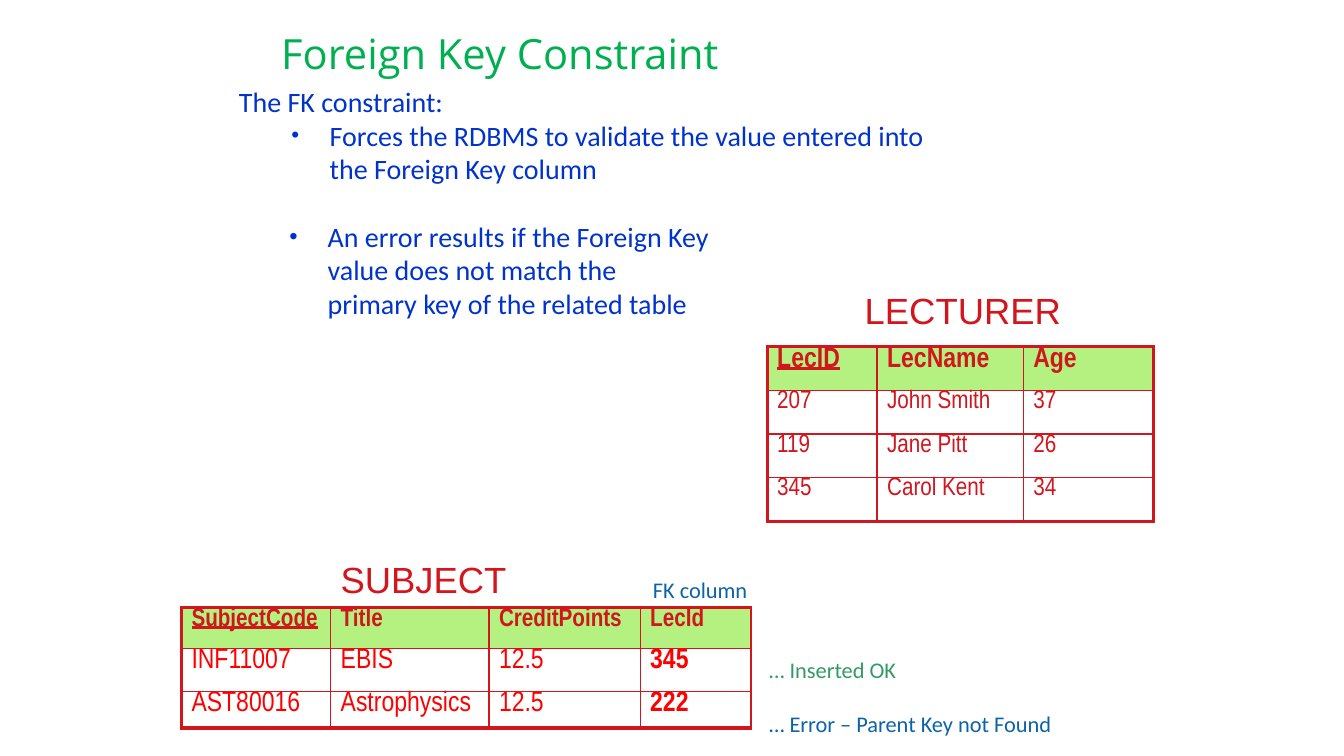
from lxml import etree
from pptx import Presentation
from pptx.dml.color import RGBColor
from pptx.enum.text import MSO_ANCHOR, PP_ALIGN
from pptx.oxml.ns import qn
from pptx.util import Inches, Pt

COLORS = {
    "title": "00B050",
    "body": "0033CC",
    "crimson": "D1161E",
    "entry": "FF0000",
    "header": "B4F180",
    "note": "0C64A7",
    "success": "339966",
}
TOP, MIDDLE = MSO_ANCHOR.TOP, MSO_ANCHOR.MIDDLE
LEFT, CENTER = PP_ALIGN.LEFT, PP_ALIGN.CENTER

# Grid of 100 columns by 100 rows
SLIDE_WIDTH, SLIDE_HEIGHT = Inches(13.33), Inches(7.5)
THIN, THICK = 1, 2.25


def columns(count):
    return round(SLIDE_WIDTH * count / 100)


def rows(count):
    return round(SLIDE_HEIGHT * count / 100)


def add_text(paragraph, text, *, size, font, color, bold=False,
             underline=False, align=LEFT, before=0, indent=0, hanging=0,
             bullet_size=None):
    """Fill a paragraph; newlines become line breaks."""
    properties = paragraph._p.get_or_add_pPr()
    properties.set("marL", str(Inches(indent)))
    properties.set("indent", str(Inches(-hanging)))
    if bullet_size:
        etree.SubElement(properties, qn("a:buSzPct"), val=str(bullet_size * 1000))
        etree.SubElement(properties, qn("a:buFont"), typeface="Arial")
        etree.SubElement(properties, qn("a:buChar"), char="•")
    paragraph.alignment = align
    if before:
        paragraph.space_before = Pt(before)
    for number, line in enumerate(text.split("\n")):
        if number:
            paragraph.add_line_break()
        run = paragraph.add_run()
        run.text = line
        run.font.size = Pt(size)
        run.font.name = font
        run.font.bold = bold
        run.font.underline = underline
        run.font.color.rgb = RGBColor.from_string(COLORS[color])


def add_box(slide, area, paragraphs, *, inset=True, wrap=True, anchor=TOP,
            **text_format):
    """Add a text box; paragraphs are (text, own format) pairs."""
    left, top, width, height = area
    shape = slide.shapes.add_textbox(columns(left), rows(top),
                                     columns(width), rows(height))
    frame = shape.text_frame
    frame.word_wrap = wrap
    frame.vertical_anchor = anchor
    if not inset:
        frame.margin_left = frame.margin_right = 0
        frame.margin_top = frame.margin_bottom = 0
    for number, (text, own_format) in enumerate(paragraphs):
        paragraph = frame.add_paragraph() if number else frame.paragraphs[0]
        add_text(paragraph, text, **{**text_format, **own_format})


def add_borders(cell, widths):
    """Draw the left, right, top and bottom borders of a cell."""
    properties = cell._tc.get_or_add_tcPr()
    for side, width in zip("LRTB", widths):
        line = etree.SubElement(properties, qn(f"a:ln{side}"), w=str(Pt(width)))
        fill = etree.SubElement(line, qn("a:solidFill"))
        etree.SubElement(fill, qn("a:srgbClr"), val=COLORS["crimson"])


def add_grid_table(slide, left, top, column_widths, row_heights, values, *,
                   header_size, entry_size, entry_color, bottom=THICK,
                   bold_column=None):
    """Add a table whose first header cell is the underlined primary key."""
    table = slide.shapes.add_table(
        len(row_heights), len(column_widths), columns(left), rows(top),
        columns(sum(column_widths)), rows(sum(row_heights))).table
    table.first_row = table.horz_banding = False
    for column, width in zip(table.columns, column_widths):
        column.width = columns(width)
    last_row, last_column = len(row_heights) - 1, len(column_widths) - 1
    for i, height in enumerate(row_heights):
        table.rows[i].height = rows(height)
        for j, text in enumerate(values[i]):
            cell = table.cell(i, j)
            is_header = i == 0
            cell.margin_top = cell.margin_bottom = 0
            add_borders(cell, (THICK if j == 0 else THIN,
                               THICK if j == last_column else THIN,
                               THICK if is_header else THIN,
                               bottom if i == last_row else THIN))
            if is_header:
                cell.fill.solid()
                cell.fill.fore_color.rgb = RGBColor.from_string(COLORS["header"])
            else:
                cell.fill.background()
            add_text(cell.text_frame.paragraphs[0], text, font="Arial Narrow",
                     size=header_size if is_header else entry_size,
                     color="crimson" if is_header else entry_color,
                     bold=is_header or j == bold_column,
                     underline=is_header and j == 0)


def main():
    presentation = Presentation()
    presentation.slide_width, presentation.slide_height = SLIDE_WIDTH, SLIDE_HEIGHT
    slide = presentation.slides.add_slide(presentation.slide_layouts[6])

    # Title and explanation
    add_box(slide, (20.18, 2.8, 67.35, 8.4), [("Foreign Key Constraint", {})],
            anchor=MIDDLE, size=29.7, font="Open Sans", color="title")
    add_box(slide, (17.78, 11.2, 68.25, 79.47), [
        ("The FK constraint:", {}),
        ("Forces the RDBMS to validate the value entered into \n"
         "the Foreign Key column",
         {"indent": 0.9, "hanging": 0.38, "bullet_size": 80}),
        ("An error results if the Foreign Key \nvalue does not match the \n"
         "primary key of the related table",
         {"indent": 0.88, "hanging": 0.38, "bullet_size": 85, "before": 24}),
    ], inset=False, size=20, font="Calibri", color="body")

    # Subject table
    add_grid_table(slide, 13.5, 80.4, [11.1, 11.78, 11.25, 8.25],
                   [5.33, 5.73, 4.8], [
                       ["SubjectCode", "Title", "CreditPoints", "LecId"],
                       ["INF11007", "EBIS", "12.5", "345"],
                       ["AST80016", "Astrophysics", "12.5", "222"],
                   ], header_size=18, entry_size=20, entry_color="entry",
                   bottom=3, bold_column=3)

    # Lecturer table
    add_grid_table(slide, 57.08, 45.87, [8.18, 10.88, 9.68], [5.77] * 4, [
        ["LecID", "LecName", "Age"],
        ["207", "John Smith", "37"],
        ["119", "Jane Pitt", "26"],
        ["345", "Carol Kent", "34"],
    ], header_size=20, entry_size=18, entry_color="crimson")

    # Table names
    for name, area in (("SUBJECT", (24.6, 73.07, 14.18, 7.07)),
                       ("LECTURER", (63.6, 37.47, 16.28, 7.07))):
        add_box(slide, area, [(name, {})], wrap=False, size=26, font="Arial",
                color="crimson")

    # Notes beside the subject table
    note_format = {"inset": False, "size": 16, "font": "Calibri",
                   "color": "note", "indent": 0.1}
    add_box(slide, (45.83, 76.27, 11.78, 6.53), [("FK column", {})],
            align=CENTER, **note_format)
    add_box(slide, (56.48, 86.8, 30.15, 13.2), [
        ("… Inserted OK", {"color": "success"}),
        ("… Error – Parent Key not Found", {"before": 19}),
    ], **note_format)

    presentation.save("out.pptx")


if __name__ == "__main__":
    main()
